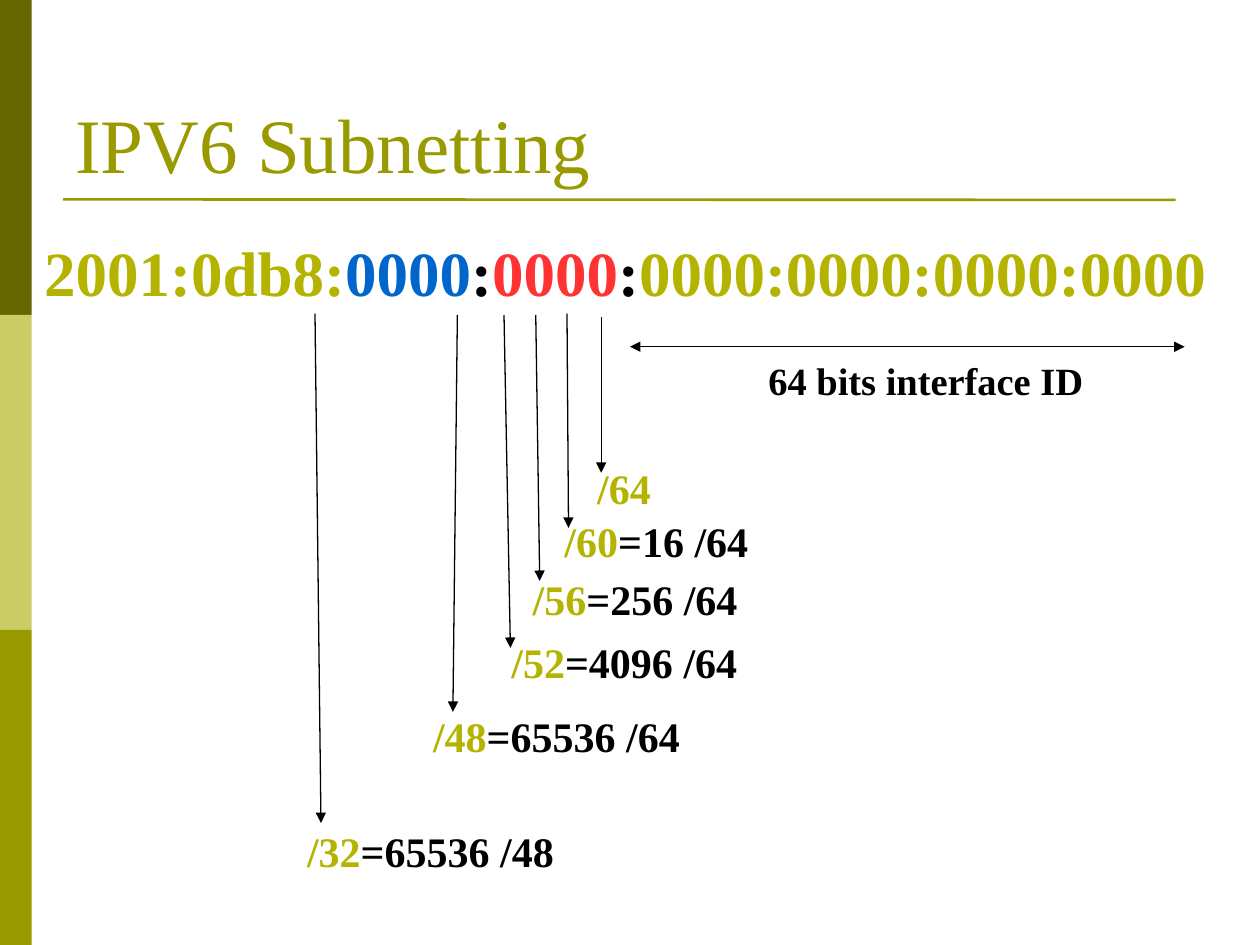
from dataclasses import dataclass

import pptx
import pptx.dml.color
import pptx.enum.shapes
import pptx.enum.text
import pptx.oxml
import pptx.oxml.ns
import pptx.util
from pptx.util import Cm


@dataclass(frozen=True)
class Theme:
    font: str = "Times New Roman"
    dark: str = "666600"
    light: str = "CCCC66"
    olive: str = "999900"
    accent: str = "B3B300"
    blue: str = "0066CC"
    red: str = "FF3333"
    black: str = "000000"
    title_size: int = 44
    address_size: int = 36
    prefix_size: int = 24
    caption_size: int = 22
    rule_width: float = 1.5
    arrow_width: float = 0.75


THEME = Theme()


@dataclass(frozen=True)
class Span:
    text: str
    color: str


@dataclass(frozen=True)
class Line:
    start: tuple[float, float]
    end: tuple[float, float]


@dataclass(frozen=True)
class Prefix:
    name: str
    count: str
    arrow: Line
    left: float
    top: float
    width: float
    height: float = 1.27


def rgb(color: str) -> pptx.dml.color.RGBColor:
    return pptx.dml.color.RGBColor.from_string(color)


def add_band(page, top: float, width: float, height: float, color: str) -> None:
    band = page.shapes.add_shape(
        pptx.enum.shapes.MSO_SHAPE.RECTANGLE, Cm(0), Cm(top), Cm(width), Cm(height))
    band.shadow.inherit = False
    band.fill.solid()
    band.fill.fore_color.rgb = rgb(color)
    band.line.fill.background()


def add_line(page, line: Line, color: str, width: float, ends: tuple[str, ...] = ()) -> None:
    """Draw a straight line; ends lists headEnd before tailEnd."""
    connector = page.shapes.add_connector(
        pptx.enum.shapes.MSO_CONNECTOR.STRAIGHT,
        *(Cm(value) for value in line.start + line.end))
    connector.line.color.rgb = rgb(color)
    connector.line.width = pptx.util.Pt(width)
    outline = connector.line._get_or_add_ln()
    for end in ends:
        arrowhead = pptx.oxml.parse_xml(
            f'<a:{end} {pptx.oxml.ns.nsdecls("a")} type="triangle"/>')
        outline.append(arrowhead)
    connector._element.spPr.append(
        pptx.oxml.parse_xml(f'<a:effectLst {pptx.oxml.ns.nsdecls("a")}/>'))


def add_text(page, left: float, top: float, width: float, height: float,
             spans: list[Span], size: int, bold: bool = True, **frame_format) -> None:
    box = page.shapes.add_textbox(Cm(left), Cm(top), Cm(width), Cm(height))
    for name, value in ({"word_wrap": False} | frame_format).items():
        setattr(box.text_frame, name, value)
    para = box.text_frame.paragraphs[0]
    font_format = {"name": THEME.font, "size": pptx.util.Pt(size), "bold": bold}
    for span in spans:
        run = para.add_run()
        run.text = span.text
        for name, value in font_format.items():
            setattr(run.font, name, value)
        run.font.color.rgb = rgb(span.color)


ADDRESS = [
    Span("2001:0db8:", THEME.accent),
    Span("0000", THEME.blue),
    Span(":", THEME.black),
    Span("0000", THEME.red),
    Span(":", THEME.black),
    Span("0000:0000:0000:0000", THEME.accent),
]

PREFIXES = [
    Prefix("/64", "", Line((12.12, 6.4), (12.12, 9.53)), 11.79, 9.19, 1.7),
    Prefix("/60", "=16 /64", Line((11.43, 6.32), (11.46, 10.64)), 11.13, 10.26, 4.32),
    Prefix("/56", "=256 /64", Line((10.8, 6.35), (10.88, 11.71)), 10.49, 11.43, 4.75, 1.91),
    Prefix("/52", "=4096 /64", Line((10.16, 6.35), (10.29, 13.06)), 10.06, 12.7, 5.2),
    Prefix("/48", "=65536 /64", Line((9.22, 6.35), (9.13, 14.35)), 8.48, 14.2, 5.6),
    Prefix("/32", "=65536 /48", Line((6.35, 6.32), (6.47, 16.59)), 5.94, 16.51, 5.6),
]


def main() -> None:
    deck = pptx.Presentation()
    deck.slide_width, deck.slide_height = Cm(25.4), Cm(19.05)
    page = deck.slides.add_slide(deck.slide_layouts[6])

    # Side bands and title rule
    band_height = 6.35
    for index, color in enumerate((THEME.dark, THEME.light, THEME.olive)):
        add_band(page, index * band_height, 0.64, band_height, color)
    add_line(page, Line((1.27, 4.02), (23.7, 4.03)), THEME.olive, THEME.rule_width)

    # Title
    add_text(page, 1.27, 0.76, 22.86, 3.18, [Span("IPV6 Subnetting", THEME.olive)],
             THEME.title_size, bold=False, word_wrap=True,
             vertical_anchor=pptx.enum.text.MSO_ANCHOR.BOTTOM)

    # Address and its interface part
    add_text(page, 0.64, 4.58, 24, 1.78, ADDRESS, THEME.address_size)
    add_text(page, 15.24, 7.07, 6.95, 1.19,
             [Span("64 bits interface ID", THEME.black)], THEME.caption_size)
    add_line(page, Line((12.7, 6.99), (23.88, 6.99)), THEME.black, THEME.arrow_width,
             ("headEnd", "tailEnd"))

    # Prefix lengths with their arrows
    for prefix in PREFIXES:
        add_line(page, prefix.arrow, THEME.black, THEME.arrow_width, ("tailEnd",))
        spans = [Span(prefix.name, THEME.accent)]
        if prefix.count:
            spans.append(Span(prefix.count, THEME.black))
        add_text(page, prefix.left, prefix.top, prefix.width, prefix.height,
                 spans, THEME.prefix_size)

    deck.save("out.pptx")


if __name__ == "__main__":
    main()
